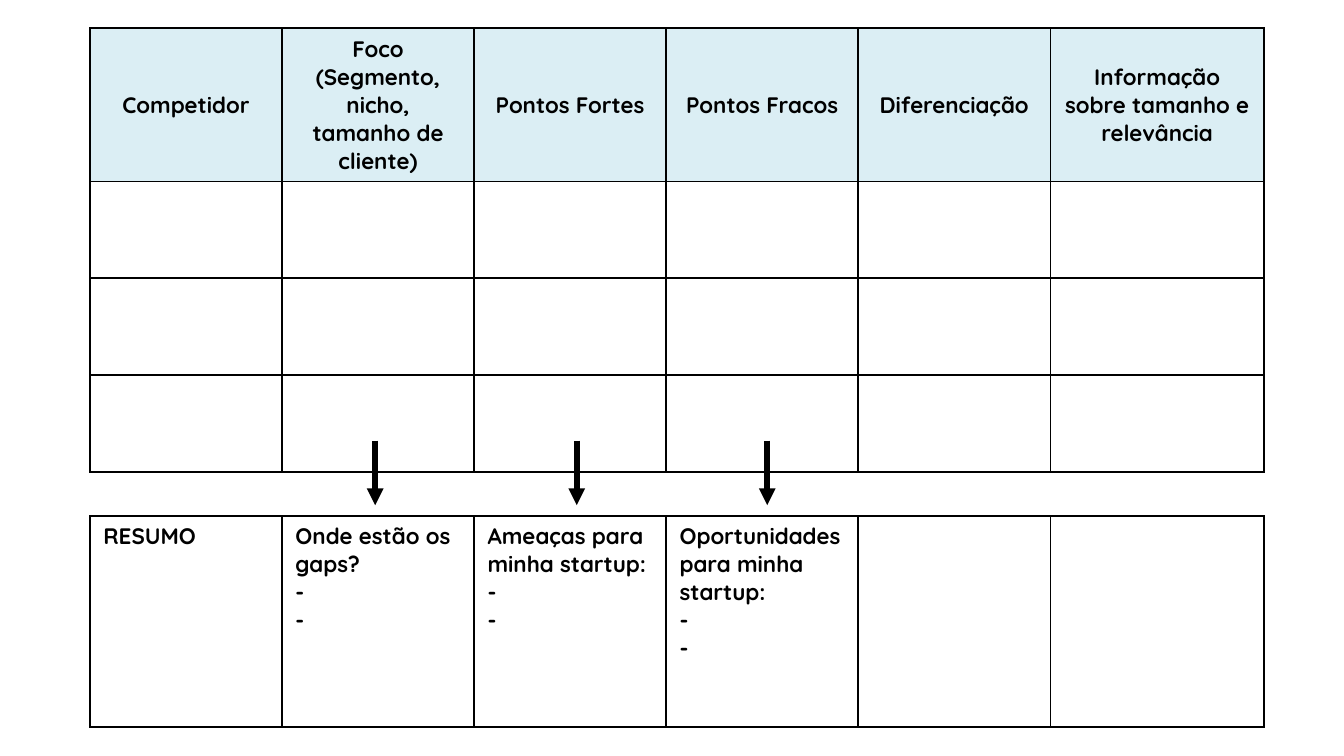
from lxml import etree
from pptx import Presentation
from pptx.dml.color import RGBColor
from pptx.enum.shapes import MSO_CONNECTOR
from pptx.enum.text import MSO_ANCHOR, PP_ALIGN
from pptx.oxml.ns import qn
from pptx.util import Cm, Pt

LINE = MSO_CONNECTOR.STRAIGHT
MID, TOP = MSO_ANCHOR.MIDDLE, MSO_ANCHOR.TOP
MIDDLE, LEFT = PP_ALIGN.CENTER, PP_ALIGN.LEFT

# Content
HEADS = [
    "Competidor",
    "Foco (Segmento, nicho, tamanho de cliente)",
    "Pontos Fortes",
    "Pontos Fracos",
    "Diferenciação",
    "Informação sobre tamanho e relevância",
]
BLANK = [""] * len(HEADS)
RIVALS = [HEADS] + [BLANK] * 3
SUMMARY = [[
    "RESUMO",
    "Onde estão os gaps?\n-\n-",
    "Ameaças para minha startup:\n-\n-",
    "Oportunidades para minha startup:\n-\n-",
    "",
    "",
]]

# Layout in centimetres
X = 1.7
COLS = [3.63] * 5 + [4.04]
ARROWS = [7.09, 10.9, 14.5]
ARROW_Y = (8.33, 9.55)
INK, TINT = "000000", "DBEEF4"
FONT = {"name": "Quicksand", "size": Pt(12), "bold": True}
PLAIN = {"first_row": False, "horz_banding": False}


def color(code):
    return RGBColor.from_string(code)


def apply(item, values):
    for name, value in values.items():
        setattr(item, name, value)


def border(cell):
    props = cell._tc.get_or_add_tcPr()
    for side in ("a:lnL", "a:lnR", "a:lnT", "a:lnB"):
        edge = etree.SubElement(props, qn(side), w=str(Pt(1)))
        fill = etree.SubElement(edge, qn("a:solidFill"))
        etree.SubElement(fill, qn("a:srgbClr"), val=INK)


def write(cell, text, align):
    cell.text = text
    for par in cell.text_frame.paragraphs:
        par.alignment = align
        apply(par.font, FONT)
        for run in par.runs:
            apply(run.font, FONT)
            run.font.color.rgb = color(INK)


def grid(slide, rows, y, height, header):
    frame = slide.shapes.add_table(
        len(rows), len(COLS), Cm(X), Cm(y),
        Cm(sum(COLS)), Cm(height * len(rows)))
    table = frame.table
    apply(table, PLAIN)
    for col, width in zip(table.columns, COLS):
        col.width = Cm(width)
    for r, row in enumerate(rows):
        table.rows[r].height = Cm(height)
        for c, text in enumerate(row):
            cell = table.cell(r, c)
            head = header and r == 0
            border(cell)
            write(cell, text, MIDDLE if head else LEFT)
            cell.vertical_anchor = MID if head else TOP
            if head:
                cell.fill.solid()
                cell.fill.fore_color.rgb = color(TINT)
            else:
                cell.fill.background()


def arrow(slide, x):
    start, end = ARROW_Y
    link = slide.shapes.add_connector(LINE, Cm(x), Cm(start), Cm(x), Cm(end))
    link.line.color.rgb = color(INK)
    link.line.width = Pt(3)
    etree.SubElement(link.line._get_or_add_ln(), qn("a:tailEnd"),
                     type="triangle")
    etree.SubElement(link._element.spPr, qn("a:effectLst"))


def main():
    deck = Presentation()
    deck.slide_width, deck.slide_height = Cm(25.4), Cm(14.29)
    slide = deck.slides.add_slide(deck.slide_layouts[6])

    # Competitor table above, summary row below
    grid(slide, RIVALS, 0.53, 1.83, True)
    grid(slide, SUMMARY, 9.75, 3.99, False)

    # Arrows from the columns to their summaries
    for x in ARROWS:
        arrow(slide, x)

    deck.save("out.pptx")


if __name__ == "__main__":
    main()
